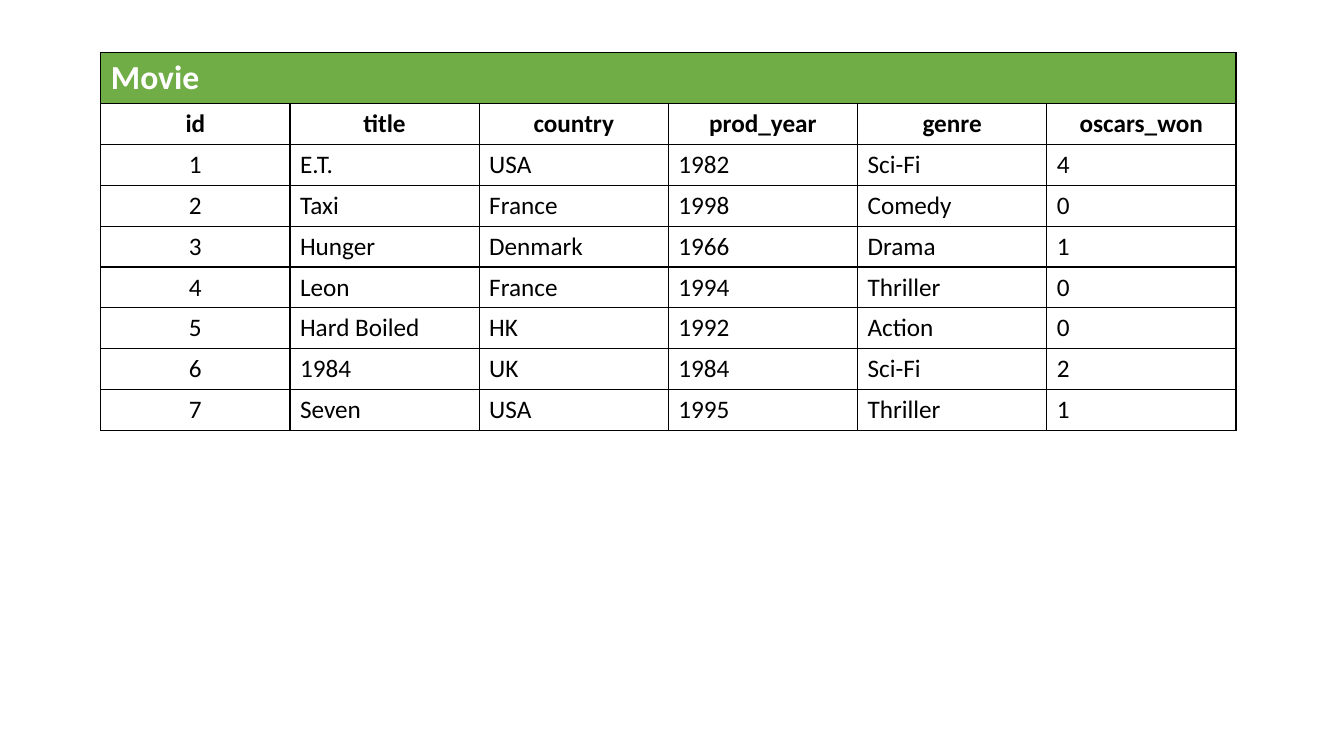
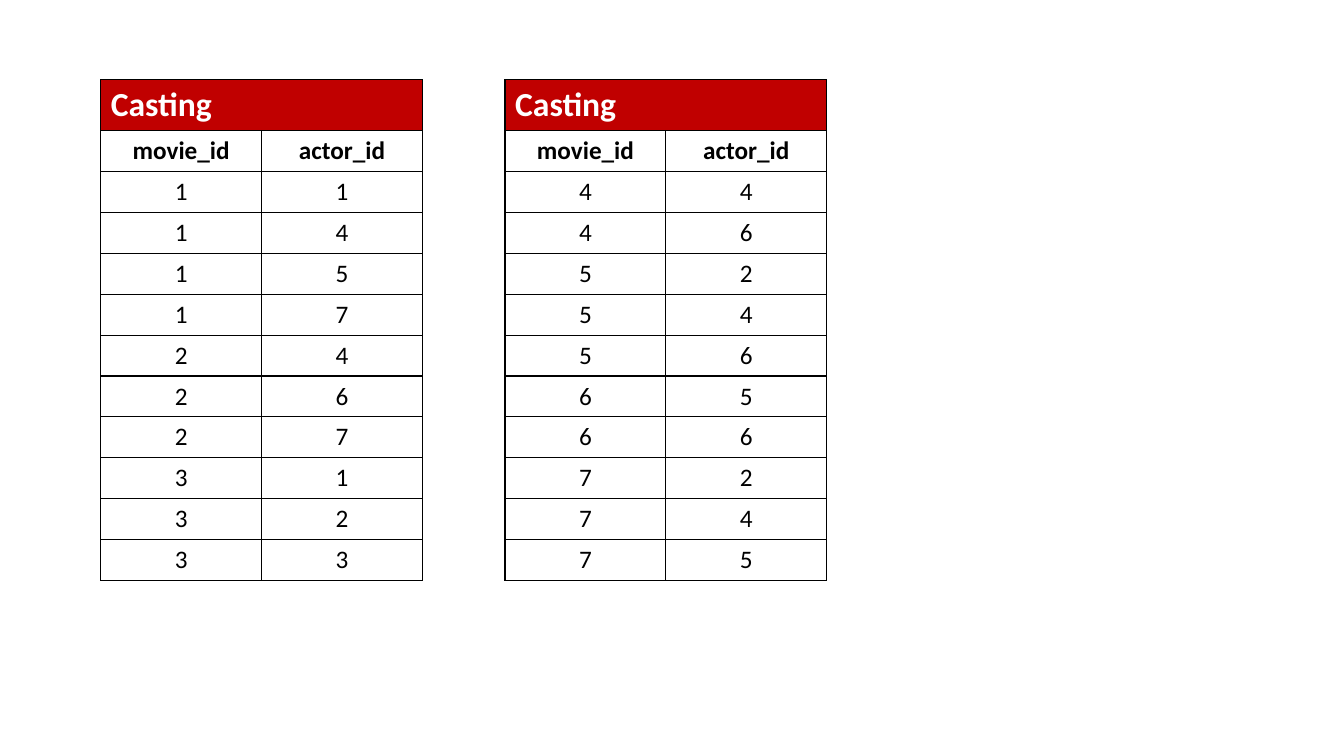
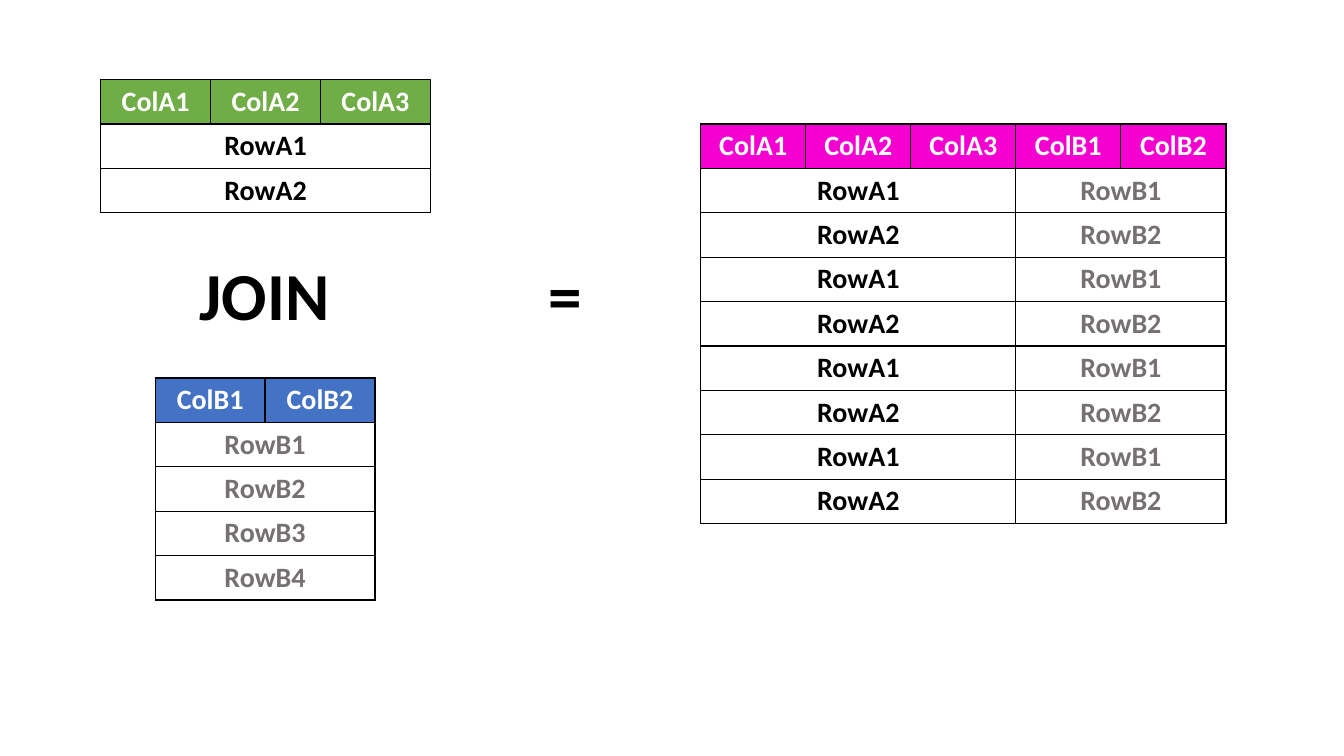
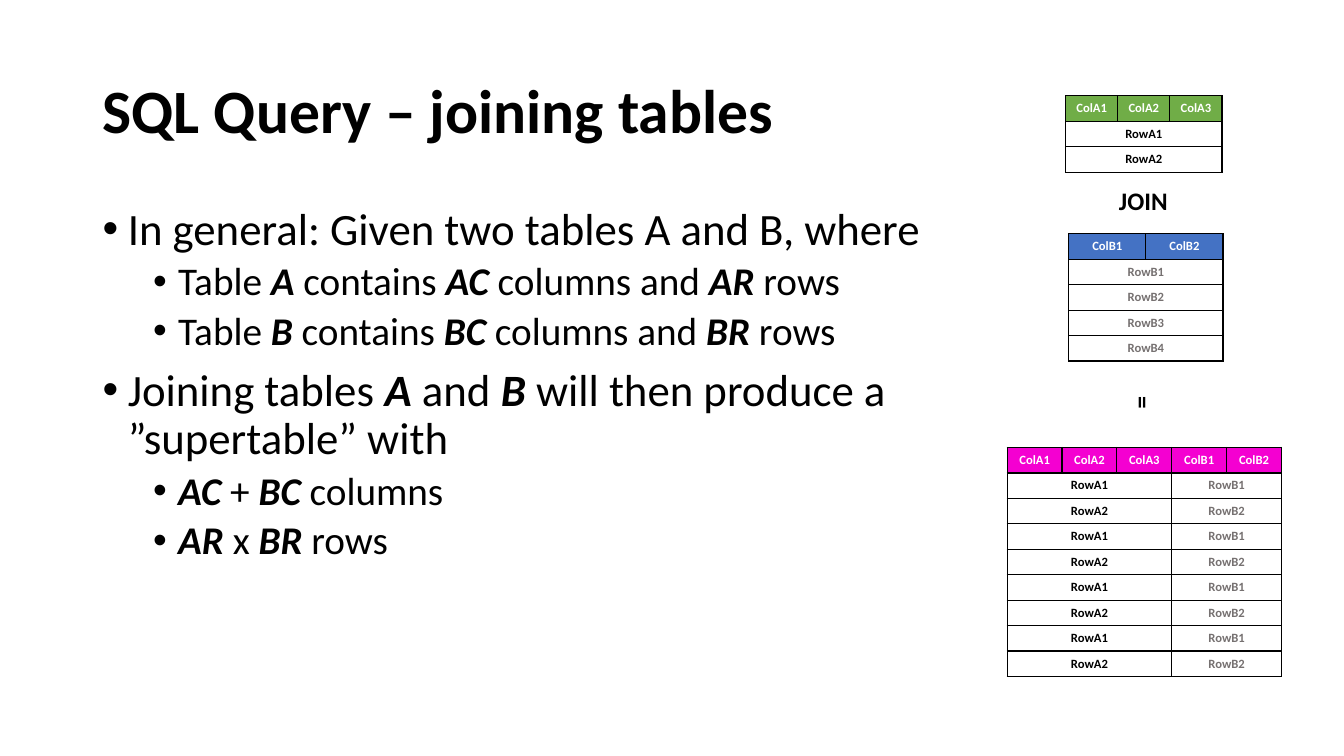
from dataclasses import dataclass

from lxml import etree
from pptx import Presentation
from pptx.dml.color import RGBColor
from pptx.enum.text import MSO_ANCHOR, PP_ALIGN
from pptx.oxml.ns import qn
from pptx.util import Inches, Pt

LEFT, CENTER = PP_ALIGN.LEFT, PP_ALIGN.CENTER
MIDDLE, TOP = MSO_ANCHOR.MIDDLE, MSO_ANCHOR.TOP

FONT = "Calibri"
BLACK = RGBColor(0x00, 0x00, 0x00)
WHITE = RGBColor(0xFF, 0xFF, 0xFF)
GRAY = RGBColor(0x76, 0x71, 0x71)
GREEN = RGBColor(0x70, 0xAD, 0x47)
BLUE = RGBColor(0x44, 0x72, 0xC4)
RED = RGBColor(0xC0, 0x00, 0x00)
MAGENTA = RGBColor(0xF4, 0x00, 0xD1)

LINE_HEIGHT = 1.22
BORDER_WIDTH = Pt(1)
BULLET_HANG = Inches(0.25)


@dataclass
class Box:
    """A rectangle in EMU."""
    left: int
    top: int
    width: int
    height: int

    def inner(self, left, top, width, height=0):
        """Return the box at the given percentages of this one."""
        return Box(self.left + round(self.width * left / 100),
                   self.top + round(self.height * top / 100),
                   round(self.width * width / 100),
                   round(self.height * height / 100))


@dataclass
class Entry:
    """One table cell, which may span several columns."""
    text: str
    span: int = 1
    size: int = 18
    colour: RGBColor = BLACK
    bold: bool = False
    align: PP_ALIGN = CENTER
    fill: RGBColor = None


PAGE = Box(0, 0, Inches(13.33), Inches(7.5))

# Percentages of the diagram's box: left, top, width
WIDE_JOIN = {"a": (0, 0, 29.3), "join": (7.89, 32.55, 13.44),
             "b": (4.84, 57.7, 19.53), "equals": (38.89, 32.55, 4.84),
             "result": (53.32, 8.58, 46.68)}
TALL_JOIN = {"a": (21.32, 0, 57), "join": (37.13, 14.63, 25.37),
             "b": (22.43, 23.87, 56.25), "equals": (43.75, 49.65, 12.13),
             "result": (0, 60.8, 100)}

MOVIE_COLUMNS = ["id", "title", "country", "prod_year", "genre", "oscars_won"]
MOVIES = [
    ["1", "E.T.", "USA", "1982", "Sci-Fi", "4"],
    ["2", "Taxi", "France", "1998", "Comedy", "0"],
    ["3", "Hunger", "Denmark", "1966", "Drama", "1"],
    ["4", "Leon", "France", "1994", "Thriller", "0"],
    ["5", "Hard Boiled", "HK", "1992", "Action", "0"],
    ["6", "1984", "UK", "1984", "Sci-Fi", "2"],
    ["7", "Seven", "USA", "1995", "Thriller", "1"],
]
CASTING_COLUMNS = ["movie_id", "actor_id"]
# Each pair is a movie and one of its actors
CASTING_LEFT = ["11", "14", "15", "17", "24", "26", "27", "31", "32", "33"]
CASTING_RIGHT = ["44", "46", "52", "54", "56", "65", "66", "72", "74", "75"]

A_COLUMNS = ["ColA1", "ColA2", "ColA3"]
B_COLUMNS = ["ColB1", "ColB2"]
A_ROWS = ["RowA1", "RowA2"]
B_ROWS = ["RowB1", "RowB2", "RowB3", "RowB4"]
RESULT_ROWS = [("RowA1", "RowB1"), ("RowA2", "RowB2")] * 4

# Outline level and text; asterisks enclose emphasis
JOIN_POINTS = [
    (0, "In general: Given two tables A and B, where"),
    (1, "Table *A* contains *AC* columns and *AR* rows"),
    (1, "Table *B *contains *BC *columns and *BR* rows"),
    (0, "Joining tables *A* and *B* will then produce a ”supertable” with"),
    (1, "*AC* + *BC* columns"),
    (1, "*AR* x *BR* rows"),
]


def line_box_height(size):
    """Return the height of one text line with its margins."""
    return Pt(size * LINE_HEIGHT) + Inches(0.1)


def set_font(paragraph, size, colour=BLACK, bold=False):
    """Set the font that a paragraph's runs share."""
    font = paragraph.font
    font.name, font.size, font.bold = FONT, Pt(size), bold
    font.color.rgb = colour


def draw_borders(cell):
    """Draw a black line on every side of a cell."""
    properties = cell._tc.get_or_add_tcPr()
    for side in ("lnL", "lnR", "lnT", "lnB"):
        line = etree.SubElement(properties, qn(f"a:{side}"), w=str(BORDER_WIDTH))
        fill = etree.SubElement(line, qn("a:solidFill"))
        etree.SubElement(fill, qn("a:srgbClr"), val=str(BLACK))


def add_grid(slide, box, rows):
    """Add a table of Entry rows with equal columns across the box."""
    column_count = sum(entry.span for entry in rows[0])
    heights = [line_box_height(row[0].size) for row in rows]
    table = slide.shapes.add_table(len(rows), column_count, box.left, box.top,
                                   box.width, sum(heights)).table
    table.first_row = table.horz_banding = False
    for cell in table.iter_cells():
        draw_borders(cell)
        cell.fill.background()
    for row_index, (row, height) in enumerate(zip(rows, heights)):
        table.rows[row_index].height = height
        column = 0
        for entry in row:
            cell = table.cell(row_index, column)
            column += entry.span
            if entry.span > 1:
                cell.merge(table.cell(row_index, column - 1))
            if entry.fill is not None:
                cell.fill.solid()
                cell.fill.fore_color.rgb = entry.fill
            paragraph = cell.text_frame.paragraphs[0]
            paragraph.text = entry.text
            paragraph.alignment = entry.align
            set_font(paragraph, entry.size, entry.colour, entry.bold)


def add_data_table(slide, box, name, fill, columns, records, aligns):
    """Add a database table: name band, column names and records."""
    band = Entry(name, len(columns), 24, WHITE, True, LEFT, fill)
    names = [Entry(column, bold=True) for column in columns]
    body = [[Entry(value, align=align) for value, align in zip(record, aligns)]
            for record in records]
    add_grid(slide, box, [[band], names, *body])


def add_text_box(slide, box, wrap=True, anchor=TOP):
    """Add an empty text box and return its shape."""
    shape = slide.shapes.add_textbox(box.left, box.top, box.width, box.height)
    shape.text_frame.word_wrap = wrap
    shape.text_frame.vertical_anchor = anchor
    return shape


def add_operator(slide, box, text, size, rotation=0):
    """Add a bold operator between the tables of a join."""
    box.height = line_box_height(size)
    shape = add_text_box(slide, box, wrap=False)
    shape.rotation = rotation
    paragraph = shape.text_frame.paragraphs[0]
    paragraph.text = text
    set_font(paragraph, size, bold=True)


def add_join(slide, box, places, size, operator_size, equals_rotation=0):
    """Add the diagram of tables A and B joined into a result."""
    def header(columns, fill):
        return [Entry(column, 1, size, WHITE, True, fill=fill) for column in columns]

    def a_row(text):
        return Entry(text, len(A_COLUMNS), size, BLACK, True)

    def b_row(text):
        return Entry(text, len(B_COLUMNS), size, GRAY, True)

    spots = {name: box.inner(*place) for name, place in places.items()}
    add_grid(slide, spots["a"],
             [header(A_COLUMNS, GREEN), *([a_row(text)] for text in A_ROWS)])
    add_grid(slide, spots["b"],
             [header(B_COLUMNS, BLUE), *([b_row(text)] for text in B_ROWS)])
    add_grid(slide, spots["result"],
             [header(A_COLUMNS + B_COLUMNS, MAGENTA),
              *([a_row(a), b_row(b)] for a, b in RESULT_ROWS)])
    add_operator(slide, spots["join"], "JOIN", operator_size)
    add_operator(slide, spots["equals"], "=", operator_size, equals_rotation)


def add_title(slide, box, text):
    """Add the slide title, centred vertically in its box."""
    paragraph = add_text_box(slide, box, anchor=MIDDLE).text_frame.paragraphs[0]
    paragraph.text = text
    paragraph.line_spacing = 0.9
    set_font(paragraph, 44, bold=True)


def add_points(slide, box, points):
    """Add a bulleted outline with emphasised words."""
    frame = add_text_box(slide, box).text_frame
    for index, (level, text) in enumerate(points):
        paragraph = frame.add_paragraph() if index else frame.paragraphs[0]
        paragraph.level = level
        paragraph.line_spacing = 0.9
        paragraph.space_before = Pt(5 if level else 10)
        properties = paragraph._p.get_or_add_pPr()
        properties.set("marL", str(BULLET_HANG * (1 + 2 * level)))
        properties.set("indent", str(-BULLET_HANG))
        etree.SubElement(properties, qn("a:buFont"), typeface="Arial")
        etree.SubElement(properties, qn("a:buChar"), char="•")
        set_font(paragraph, 28 if level else 32)
        for phrase_index, phrase in enumerate(text.split("*")):
            if phrase:
                run = paragraph.add_run()
                run.text = phrase
                if phrase_index % 2:
                    run.font.bold = run.font.italic = True


def movie_slide(slide, page):
    """Show the Movie table."""
    add_data_table(slide, page.inner(7.5, 6.93, 84.47), "Movie", GREEN,
                   MOVIE_COLUMNS, MOVIES, [CENTER] + [LEFT] * 5)


def casting_slide(slide, page):
    """Show the Casting table in two halves."""
    for left, records in ((7.5, CASTING_LEFT), (37.58, CASTING_RIGHT)):
        add_data_table(slide, page.inner(left, 10.53, 23.93), "Casting", RED,
                       CASTING_COLUMNS, records, [CENTER] * 2)


def join_slide(slide, page):
    """Show the join across the slide."""
    add_join(slide, page.inner(7.5, 10.53, 83.72, 68.4), WIDE_JOIN, 20, 48)


def explanation_slide(slide, page):
    """Explain the join beside a small upright diagram."""
    add_title(slide, page.inner(6.9, 5.33, 86.27, 19.33),
              "SQL Query – joining tables")
    add_points(slide, page.inner(6.9, 26.67, 63.92, 63.47), JOIN_POINTS)
    add_join(slide, page.inner(74.94, 12.67, 20.41, 76.53), TALL_JOIN, 9, 18, 90)


def main():
    """Build and save the presentation."""
    deck = Presentation()
    deck.slide_width, deck.slide_height = PAGE.width, PAGE.height
    blank = deck.slide_layouts[6]
    for build in (movie_slide, casting_slide, join_slide, explanation_slide):
        build(deck.slides.add_slide(blank), PAGE)
    deck.save("out.pptx")


main()
